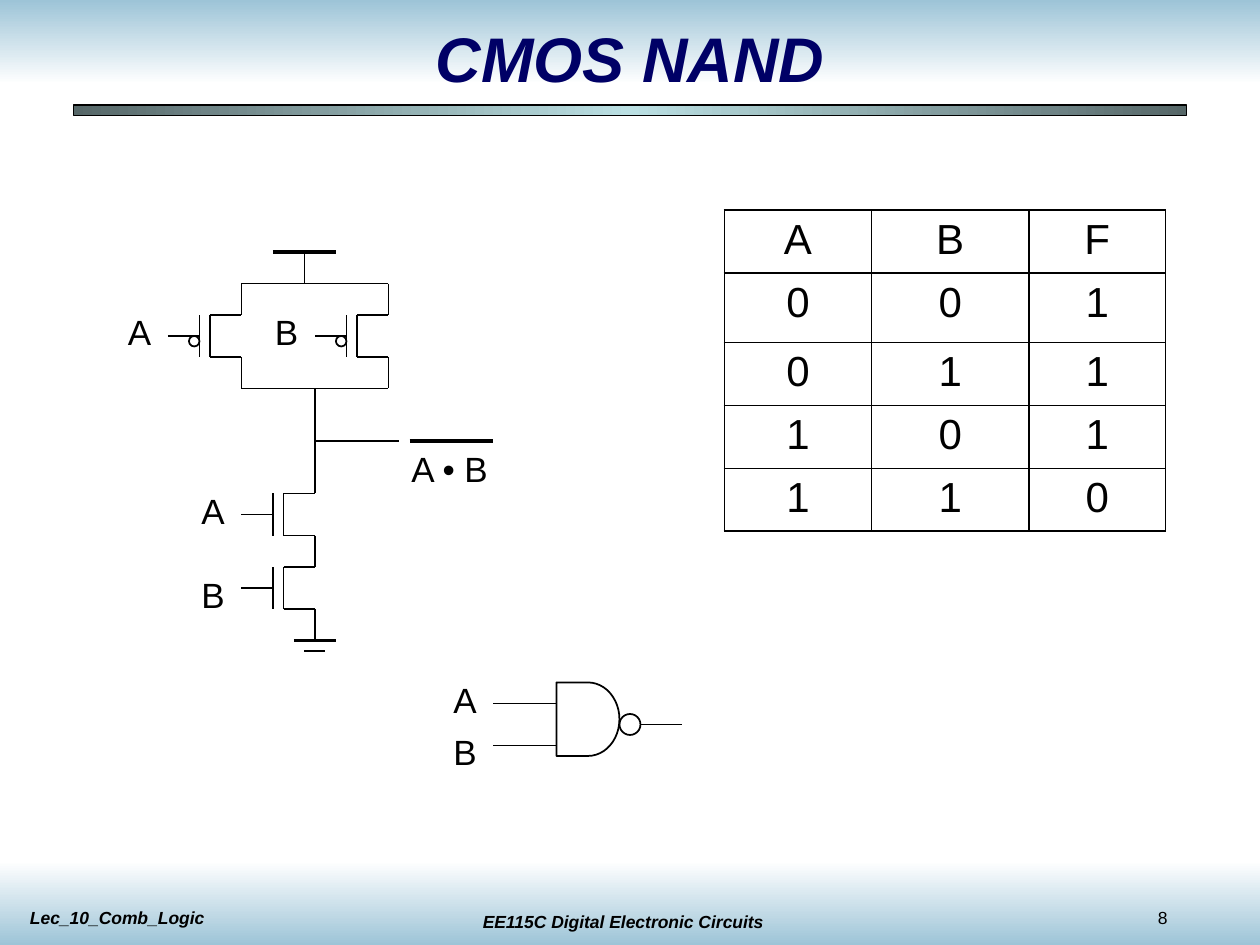
import copy
from dataclasses import dataclass

import pptx
import pptx.dml.color
import pptx.enum.shapes
import pptx.enum.text
import pptx.oxml.ns
import pptx.oxml.xmlchemy
import pptx.util
from lxml import etree

Pt = pptx.util.Pt
qn = pptx.oxml.ns.qn
Shape = pptx.enum.shapes.MSO_SHAPE
Align = pptx.enum.text.PP_ALIGN
Anchor = pptx.enum.text.MSO_ANCHOR


@dataclass(frozen=True)
class Theme:
    font: str = "Arial"
    ink: str = "000000"
    title: str = "000066"
    sky: str = "9DC4D7"
    paper: str = "FFFFFF"
    bar_edge: str = "566768"
    bar_centre: str = "BBE0E3"
    title_size: float = 36
    table_size: float = 24
    label_size: float = 20
    footer_size: float = 10
    wire: float = 1
    rail: float = 2.25
    bar_line: float = 0.75
    cell_thick: float = 1.08
    cell_thin: float = 0.45


THEME = Theme()


def colour(value):
    return pptx.dml.color.RGBColor.from_string(value)


def write(frame, text, size, align=Align.LEFT, ink=THEME.ink, **style):
    """Put one formatted paragraph into a text frame."""
    para = frame.paragraphs[0]
    para.alignment = align
    span = para.add_run()
    span.text = text
    formats = {"name": THEME.font, "size": Pt(size), "bold": False, "italic": False}
    for name, value in (formats | style).items():
        setattr(span.font, name, value)
    span.font.color.rgb = colour(ink)


def add_text(page, text, left, top, width, height, size, wrap=False, **style):
    box = page.shapes.add_textbox(Pt(left), Pt(top), Pt(width), Pt(height))
    box.text_frame.word_wrap = wrap
    write(box.text_frame, text, size, **style)


def add_label(page, text, left, top, width=27.5):
    add_text(page, text, left, top, width, 31.5, THEME.label_size)


def add_wire(shapes, x1, y1, x2, y2, weight=THEME.wire):
    wire = shapes.add_connector(
        pptx.enum.shapes.MSO_CONNECTOR.STRAIGHT, Pt(x1), Pt(y1), Pt(x2), Pt(y2))
    wire.line.color.rgb = colour(THEME.ink)
    wire.line.width = Pt(weight)
    etree.SubElement(wire._element.spPr, qn("a:effectLst"))


def add_outline(shapes, kind, left, top, width, height, weight=THEME.wire):
    """Add an unfilled preset shape; a weight of 0 leaves out its line."""
    shape = shapes.add_shape(kind, Pt(left), Pt(top), Pt(width), Pt(height))
    shape.shadow.inherit = False
    shape.fill.background()
    if weight:
        shape.line.color.rgb = colour(THEME.ink)
        shape.line.width = Pt(weight)
    else:
        shape.line.fill.background()
    return shape


def add_gradient(page, left, top, width, height, colours, angle, weight=0):
    shape = add_outline(page.shapes, Shape.RECTANGLE, left, top, width, height, weight)
    shape.fill.gradient()
    shape.fill.gradient_angle = angle
    stops = shape._element.spPr.find(".//" + qn("a:gsLst"))
    while len(stops) < len(colours):
        stops.append(copy.deepcopy(stops[0]))
    for index, (stop, value) in enumerate(zip(shape.fill.gradient_stops, colours)):
        stop.color.rgb = colour(value)
        stop.position = index / (len(colours) - 1)


def add_transistor(page, drain, top, below, above=0, bubble=False):
    """Draw a transistor whose drain and source leads lie on x = drain."""
    shapes = page.shapes.add_group_shape().shapes
    channel, plate, bottom, middle = drain - 18, drain - 24, top + 24, top + 12
    add_wire(shapes, channel, top, drain, top)
    add_wire(shapes, channel, top, channel, bottom)
    add_wire(shapes, channel, bottom, drain, bottom)
    add_wire(shapes, plate, top, plate, bottom)
    add_wire(shapes, drain, bottom, drain, bottom + below)
    add_wire(shapes, plate - 18, middle, plate, middle)
    if above:
        add_wire(shapes, drain, top - above, drain, top)
    if bubble:
        add_outline(shapes, Shape.OVAL, plate - 6, middle, 6, 6)


def add_truth_table(page, rows, left, top, widths, heights):
    table = page.shapes.add_table(
        len(rows), len(widths), Pt(left), Pt(top), Pt(sum(widths)), Pt(sum(heights))).table
    table.first_row = table.horz_banding = False
    for column, width in zip(table.columns, widths):
        column.width = Pt(width)
    for row, height in zip(table.rows, heights):
        row.height = Pt(height)
    thick, thin = THEME.cell_thick, THEME.cell_thin
    upright = [thick, thin, thick, thick]
    level = [thick, thick, thin, thin, thin, thick]
    for r, values in enumerate(rows):
        for c, value in enumerate(values):
            cell = table.cell(r, c)
            write(cell.text_frame, value, THEME.table_size, align=Align.CENTER)
            weights = {"L": upright[c], "R": upright[c + 1], "T": level[r], "B": level[r + 1]}
            set_borders(cell, weights)
            cell.fill.background()


def set_borders(cell, weights):
    properties = cell._tc.get_or_add_tcPr()
    for side, weight in weights.items():
        line = etree.SubElement(properties, qn("a:ln" + side), w=str(int(Pt(weight))))
        fill = etree.SubElement(line, qn("a:solidFill"))
        etree.SubElement(fill, qn("a:srgbClr"), val=THEME.ink)


def add_backdrop(page):
    add_gradient(page, 0, 0, 720, 48, [THEME.sky, THEME.paper], 270)
    add_gradient(page, 0, 492, 720, 48, [THEME.paper, THEME.sky], 270)
    slanted = {"wrap": True, "bold": True, "italic": True}
    size = THEME.footer_size
    add_text(page, "EE115C Digital Electronic Circuits", 254, 517, 204, 19.5, size,
             align=Align.CENTER, **slanted)
    add_text(page, "8", 654.5, 514.8, 60, 19.5, size, wrap=True)
    add_text(page, "Lec_10_Comb_Logic", 10, 514.8, 204, 19.5, size, **slanted)
    add_gradient(page, 42, 60, 636, 6,
                 [THEME.bar_edge, THEME.bar_centre, THEME.bar_edge], 0, THEME.bar_line)


def set_title(page, text):
    title = page.shapes.title
    for name, value in {"left": 54, "top": 12, "width": 612, "height": 42}.items():
        setattr(title, name, Pt(value))
    title.text_frame.vertical_anchor = Anchor.MIDDLE
    title.text_frame.auto_size = pptx.enum.text.MSO_AUTO_SIZE.NONE
    write(title.text_frame, text, THEME.title_size, align=Align.CENTER,
          ink=THEME.title, bold=True, italic=True)
    # Bring the title in front of the top band
    page.shapes._spTree.append(title._element)


def add_circuit(page):
    # Pull-down pair in series, pull-up pair in parallel
    for top in (324, 282):
        add_transistor(page, 180, top, below=18)
    for drain in (222, 138):
        add_transistor(page, drain, 180, below=18, above=18, bubble=True)
    # Output node, parallel joints and supply lead
    for ends in [(180, 282, 180, 222), (180, 252, 228, 252), (138, 222, 222, 222),
                 (138, 162, 222, 162), (174, 162, 174, 144), (174, 372, 186, 372)]:
        add_wire(page.shapes, *ends)
    # Supply rail, ground rail and bar over the output
    for x1, x2, y in [(156, 192, 144), (168, 192, 366), (234, 282, 252)]:
        add_wire(page.shapes, x1, y, x2, y, THEME.rail)
    for text, left, top in [("A", 108, 276), ("B", 108, 324), ("A", 66, 174), ("B", 150, 174)]:
        add_label(page, text, left, top)
    add_label(page, "A • B", 228, 252, 59)


def add_gate(page):
    add_label(page, "A", 252, 384)
    add_label(page, "B", 252, 414)
    add_outline(page.shapes, Shape.FLOWCHART_DELAY, 318, 390, 36, 42)
    for x1, x2, y in [(282, 318, 402), (282, 318, 426), (366, 390, 414)]:
        add_wire(page.shapes, x1, y, x2, y)
    add_outline(page.shapes, Shape.OVAL, 354, 408, 12, 12)


def main():
    deck = pptx.Presentation()
    deck.slide_width, deck.slide_height = Pt(720), Pt(540)
    page = deck.slides.add_slide(deck.slide_layouts[5])
    add_backdrop(page)
    set_title(page, "CMOS NAND")
    add_circuit(page)
    add_truth_table(page, ["ABF", "001", "011", "101", "110"], 414, 120,
                    [84, 90, 78], [36, 39.5, 36, 36, 36])
    add_gate(page)
    deck.save("out.pptx")


if __name__ == "__main__":
    main()
